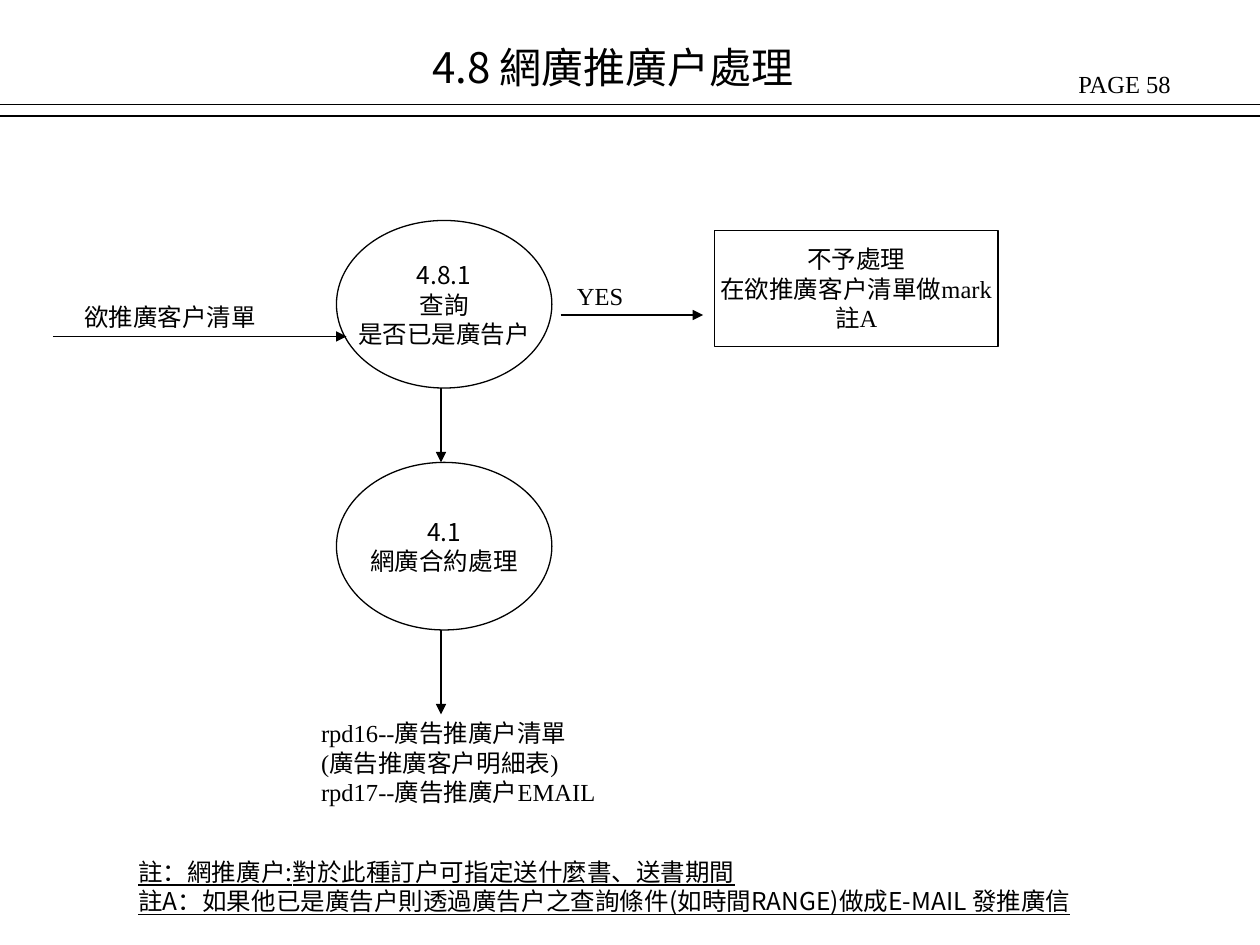
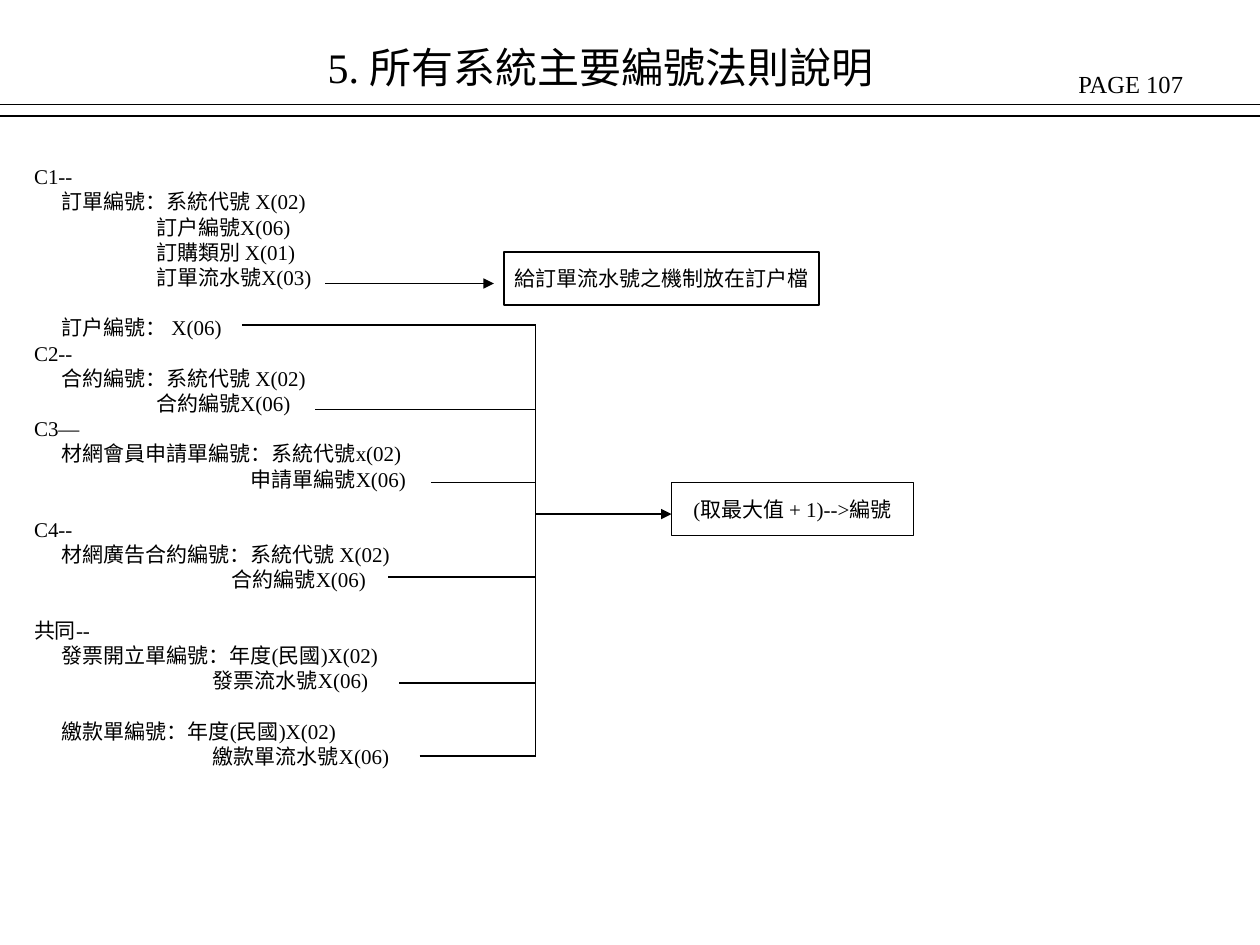
from lxml import etree
from pptx import Presentation
from pptx.dml.color import RGBColor
from pptx.enum import shapes, text
from pptx.oxml import ns
from pptx.util import Inches, Pt

COLORS = {"ink": "000000", "paper": "FFFFFF"}
SERIF = "Times New Roman"
SANS = "Noto Sans CJK TC"
LEFT, CENTER = text.PP_ALIGN.LEFT, text.PP_ALIGN.CENTER
TOP, MIDDLE = text.MSO_ANCHOR.TOP, text.MSO_ANCHOR.MIDDLE


def color(name):
    return RGBColor.from_string(COLORS[name])


def add_child(parent, tag, **attributes):
    return etree.SubElement(parent, ns.qn(tag), **attributes)


def style_run(run, size, font, underline):
    run.font.size = Pt(size)
    run.font.underline = underline
    run.font.color.rgb = color("ink")
    run.font.name = font
    add_child(run._r.get_or_add_rPr(), "a:ea", typeface=SANS)


def write_line(paragraph, wording, size, font, align=LEFT, underline=None, spacing=None):
    paragraph.alignment = align
    paragraph.line_spacing = Pt(spacing or size * 1.2)
    paragraph.space_before = Pt(0)
    run = paragraph.add_run()
    run.text = wording
    style_run(run, size, font, underline)


def prepare_frame(shape, anchor=TOP, wrap=True):
    frame = shape.text_frame
    frame.word_wrap = wrap
    frame.auto_size = text.MSO_AUTO_SIZE.NONE
    frame.vertical_anchor = anchor
    return frame


def write_lines(frame, lines, size, font, **style):
    for index, wording in enumerate(lines):
        paragraph = frame.add_paragraph() if index else frame.paragraphs[0]
        write_line(paragraph, wording, size, font, **style)


def place(shape, box):
    shape.left, shape.top, shape.width, shape.height = map(Inches, box)


def add_label(slide, box, lines, font=SERIF, **style):
    shape = slide.shapes.add_textbox(*map(Inches, box))
    write_lines(prepare_frame(shape), lines, 14, font, **style)


def add_node(slide, kind, box, lines, size=14, font=SERIF):
    shape = slide.shapes.add_shape(kind, *map(Inches, box))
    shape.shadow.inherit = False
    shape.fill.background()
    shape.line.color.rgb = color("ink")
    shape.line.width = Pt(0.75)
    write_lines(prepare_frame(shape, MIDDLE, False), lines, size, font, align=CENTER)


def add_line(slide, start, end, arrow=False):
    connector = slide.shapes.add_connector(
        shapes.MSO_CONNECTOR.STRAIGHT, *map(Inches, start + end))
    connector.line.color.rgb = color("ink")
    connector.line.width = Pt(0.75)
    properties = connector._element.spPr
    if arrow:
        add_child(connector.line._get_or_add_ln(), "a:tailEnd", type="triangle")
    add_child(properties, "a:effectLst")


def add_page(presentation, layout, title, title_box, font, number):
    slide = presentation.slides.add_slide(presentation.slide_layouts[layout])
    slide.background.fill.solid()
    slide.background.fill.fore_color.rgb = color("paper")
    place(slide.shapes.title, title_box)
    frame = prepare_frame(slide.shapes.title)
    write_line(frame.paragraphs[0], title, 24, font, spacing=31)
    add_label(slide, (8.46, 0.5, 1.5, 0.34), [f"PAGE {number}"])
    for y in (0.83, 0.92):
        add_line(slide, (0, y), (10, y))
    return slide


def add_process_flow(slide, left, top):
    width, height, pitch = 1.71, 1.33, 1.92
    axis = left + 0.83
    steps = [["4.8.1", "查詢", "是否已是廣告戶"], ["4.1", "網廣合約處理"]]
    for index, lines in enumerate(steps):
        y = top + index * pitch
        add_node(slide, shapes.MSO_SHAPE.OVAL, (left, y, width, height), lines, font=SANS)
    add_line(slide, (axis, top + height), (axis, top + pitch), True)
    add_line(slide, (axis, top + pitch + height), (axis, top + 3.92), True)
    add_label(slide, (left - 0.22, top + 3.9, 2.8, 0.81),
              ["rpd16--廣告推廣戶清單", "(廣告推廣客戶明細表)", "rpd17--廣告推廣戶EMAIL"])

    add_line(slide, (left - 2.25, top + 0.92), (left + 0.08, top + 0.92), True)
    add_label(slide, (left - 2.1, top + 0.6, 1.8, 0.34), ["欲推廣客戶清單"])

    add_line(slide, (left + 1.78, top + 0.75), (left + 2.91, top + 0.75), True)
    add_label(slide, (left + 1.81, top + 0.43, 0.7, 0.34), ["YES"])
    add_node(slide, shapes.MSO_SHAPE.RECTANGLE, (left + 3, top + 0.08, 2.25, 0.92),
             ["不予處理", "在欲推廣客戶清單做mark", "註A"])


def add_notes_block(slide, box):
    add_label(slide, box, [
        "註：網推廣戶:對於此種訂戶可指定送什麼書、送書期間",
        "註A：如果他已是廣告戶則透過廣告戶之查詢條件(如時間RANGE)做成E-MAIL 發推廣信",
    ], SANS, underline=True)


def add_code_list(slide, box):
    rows = [
        ("C1--", 0, False),
        ("訂單編號：系統代號 X(02)", 0.22, False),
        ("訂戶編號X(06)", 0.97, False),
        ("訂購類別 X(01)", 0.97, False),
        ("訂單流水號X(03)", 0.97, False),
        ("訂戶編號： X(06)", 0.22, True),
        ("C2--", 0, False),
        ("合約編號：系統代號 X(02)", 0.22, False),
        ("合約編號X(06)", 0.97, False),
        ("C3—", 0, False),
        ("材網會員申請單編號：系統代號x(02)", 0.22, False),
        ("申請單編號X(06)", 1.72, False),
        ("C4--", 0, True),
        ("材網廣告合約編號：系統代號 X(02)", 0.22, False),
        ("合約編號X(06)", 1.57, False),
        ("共同--", 0, True),
        ("發票開立單編號：年度(民國)X(02)", 0.22, False),
        ("發票流水號X(06)", 1.42, False),
        ("繳款單編號：年度(民國)X(02)", 0.22, True),
        ("繳款單流水號X(06)", 1.42, False),
    ]
    body = slide.placeholders[1]
    place(body, box)
    frame = prepare_frame(body)
    for index, (wording, indent, gap) in enumerate(rows):
        paragraph = frame.add_paragraph() if index else frame.paragraphs[0]
        properties = paragraph._p.get_or_add_pPr()
        properties.set("marL", str(Inches(indent)))
        properties.set("indent", "0")
        add_child(properties, "a:buNone")
        write_line(paragraph, wording, 12, SERIF)
        if gap:
            paragraph.space_before = Pt(14.4)


def add_numbering_rules(slide, left, top):
    add_line(slide, (left - 1.67, top + 0.25), (left - 0.33, top + 0.25), True)
    add_node(slide, shapes.MSO_SHAPE.RECTANGLE, (left - 0.25, top, 2.5, 0.42),
             ["給訂單流水號之機制放在訂戶檔"], 12)

    branches = [(2.33, 0.58), (1.75, 1.25), (0.83, 1.83),
                (1.17, 2.58), (1.08, 3.42), (0.92, 4)]
    for length, drop in branches:
        add_line(slide, (left - length, top + drop), (left, top + drop))
    add_line(slide, (left, top + branches[0][1]), (left, top + branches[-1][1]))
    add_line(slide, (left, top + 2.08), (left + 1.08, top + 2.08), True)
    add_node(slide, shapes.MSO_SHAPE.RECTANGLE, (left + 1.08, top + 1.83, 1.92, 0.42),
             ["(取最大值 + 1)-->編號"], 12)


def main():
    presentation = Presentation()
    presentation.slide_width, presentation.slide_height = Inches(10), Inches(7.5)

    promotion = add_page(presentation, 5, "4.8 網廣推廣戶處理",
                         (3.33, 0.25, 4, 0.5), SANS, 58)
    add_process_flow(promotion, 2.67, 1.75)
    add_notes_block(promotion, (1, 6.75, 8.42, 0.57))

    numbering = add_page(presentation, 1, "5. 所有系統主要編號法則說明",
                         (2.5, 0.25, 5.25, 0.5), SERIF, 107)
    add_code_list(numbering, (0.17, 1.25, 3.83, 5.5))
    add_numbering_rules(numbering, 4.25, 2)

    presentation.save("out.pptx")


if __name__ == "__main__":
    main()
